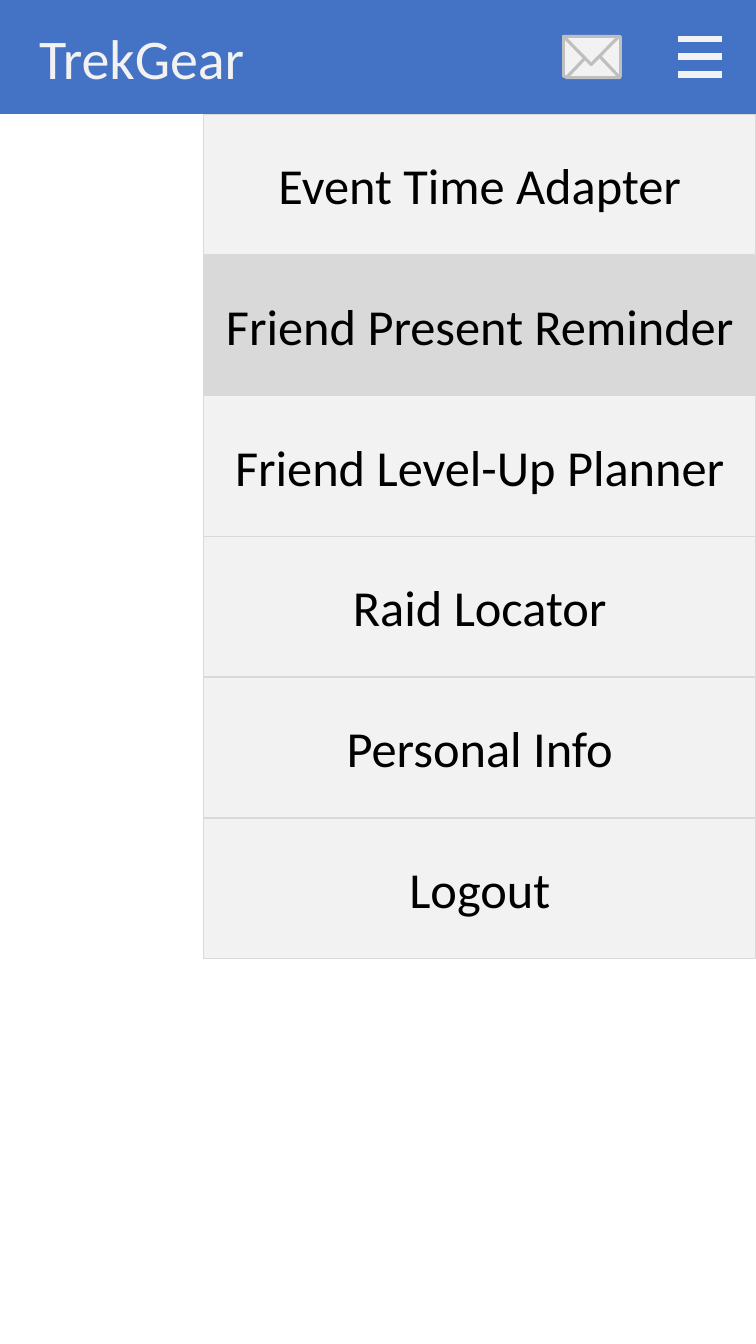
from dataclasses import dataclass

from lxml import etree
from pptx import Presentation
from pptx.dml.color import RGBColor
from pptx.enum import shapes, text
from pptx.oxml import ns
from pptx.util import Inches, Pt


@dataclass(frozen=True)
class Theme:
    font: str = "Calibri"
    title_size: int = 40
    item_size: int = 36
    blue: str = "4472C4"
    light: str = "F2F2F2"
    selected: str = "D9D9D9"
    outline: str = "BFBFBF"
    black: str = "000000"


THEME = Theme()
SLIDE_WIDTH, SLIDE_HEIGHT = 7.5, 13.33
HEADER_HEIGHT = 1.13
MENU_LEFT, MENU_HEIGHT = 2.02, 8.38
MENU_WIDTH = SLIDE_WIDTH - MENU_LEFT
MENU_ITEMS = [
    "Event Time Adapter",
    "Friend Present Reminder",
    "Friend Level-Up Planner",
    "Raid Locator",
    "Personal Info",
    "Logout",
]
SELECTED_ITEM = "Friend Present Reminder"


def color(value):
    return RGBColor.from_string(value)


def add_block(container, kind, box, fill, line=None, line_width=1):
    """Add a filled preset shape; box is left, top, width, height in inches."""
    shape = container.add_shape(kind, *map(Inches, box))
    shape.shadow.inherit = False
    shape.fill.solid()
    shape.fill.fore_color.rgb = color(fill)
    if line:
        shape.line.color.rgb = color(line)
        shape.line.width = Pt(line_width)
    else:
        shape.line.fill.background()
    return shape


def write_centered(shape, wording, size, font_color):
    shape.text_frame.text = wording
    paragraph = shape.text_frame.paragraphs[0]
    paragraph.alignment = text.PP_ALIGN.CENTER
    font = paragraph.runs[0].font
    font.name = THEME.font
    font.size = Pt(size)
    font.color.rgb = color(font_color)


def add_menu(container):
    rectangle = shapes.MSO_SHAPE.RECTANGLE
    add_block(container, rectangle,
              (MENU_LEFT, HEADER_HEIGHT, MENU_WIDTH, MENU_HEIGHT), THEME.light)
    item_height = MENU_HEIGHT / len(MENU_ITEMS)
    for index, wording in enumerate(MENU_ITEMS):
        top = HEADER_HEIGHT + index * item_height
        fill = THEME.selected if wording == SELECTED_ITEM else THEME.light
        item = add_block(container, rectangle,
                         (MENU_LEFT, top, MENU_WIDTH, item_height),
                         fill, THEME.selected)
        item.text_frame.vertical_anchor = text.MSO_ANCHOR.MIDDLE
        write_centered(item, wording, THEME.item_size, THEME.black)


def add_menu_icon(container):
    for y in (0.39, 0.56, 0.74):
        bar = container.add_connector(
            shapes.MSO_CONNECTOR.STRAIGHT,
            Inches(7.16), Inches(y), Inches(6.73), Inches(y))
        bar.line.color.rgb = color(THEME.light)
        bar.line.width = Pt(4.5)
        etree.SubElement(bar._element.spPr, ns.qn("a:effectLst"))


def add_title(container):
    title = container.add_textbox(*map(Inches, (0.21, 0.18, 2.39, 0.77)))
    title.text_frame.word_wrap = False
    title.text_frame.auto_size = text.MSO_AUTO_SIZE.SHAPE_TO_FIT_TEXT
    write_centered(title, "TrekGear", THEME.title_size, THEME.light)


def add_envelope(container):
    triangle = shapes.MSO_SHAPE.ISOSCELES_TRIANGLE
    parts = [
        (shapes.MSO_SHAPE.RECTANGLE, (5.59, 0.36, 0.57, 0.4), 0),
        (triangle, (5.62, 0.49, 0.53, 0.28), 0),
        (triangle, (5.59, 0.36, 0.55, 0.28), 180),
    ]
    for kind, box, rotation in parts:
        part = add_block(container, kind, box, THEME.light, THEME.outline, 2.25)
        part.rotation = rotation


def add_header(container):
    header = container.add_group_shape().shapes
    add_block(header, shapes.MSO_SHAPE.RECTANGLE,
              (0, 0, SLIDE_WIDTH, HEADER_HEIGHT), THEME.blue)
    add_menu_icon(header)
    add_title(header)
    add_envelope(header)


def main():
    presentation = Presentation()
    presentation.slide_width = Inches(SLIDE_WIDTH)
    presentation.slide_height = Inches(SLIDE_HEIGHT)
    slide = presentation.slides.add_slide(presentation.slide_layouts[6])
    add_menu(slide.shapes)
    add_header(slide.shapes)
    presentation.save("out.pptx")


if __name__ == "__main__":
    main()
